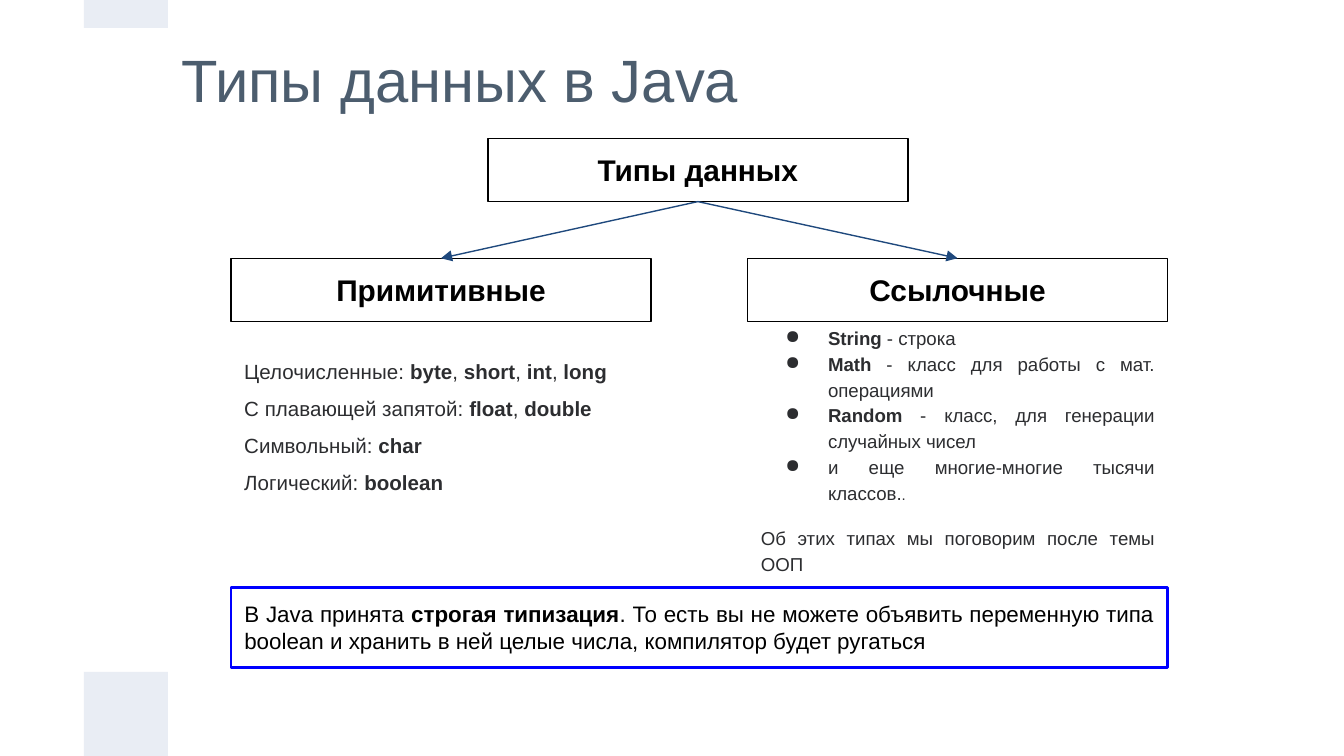
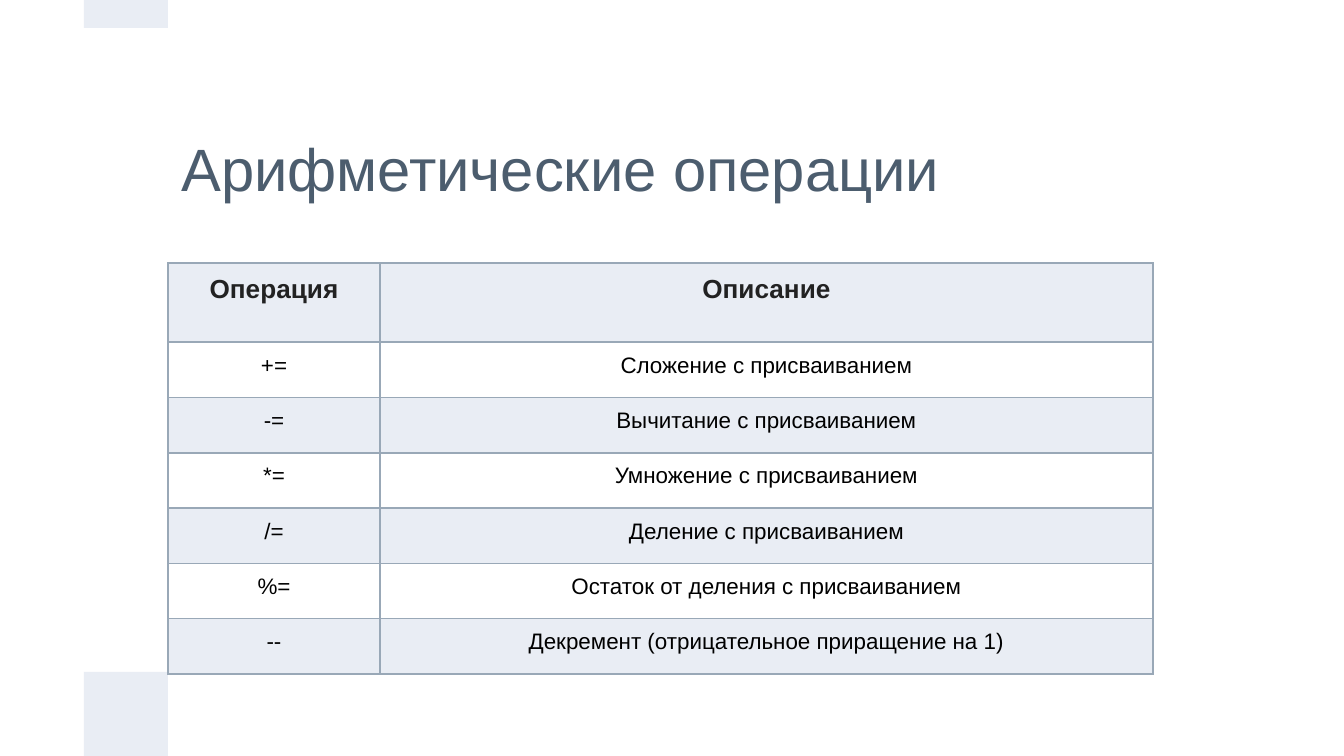
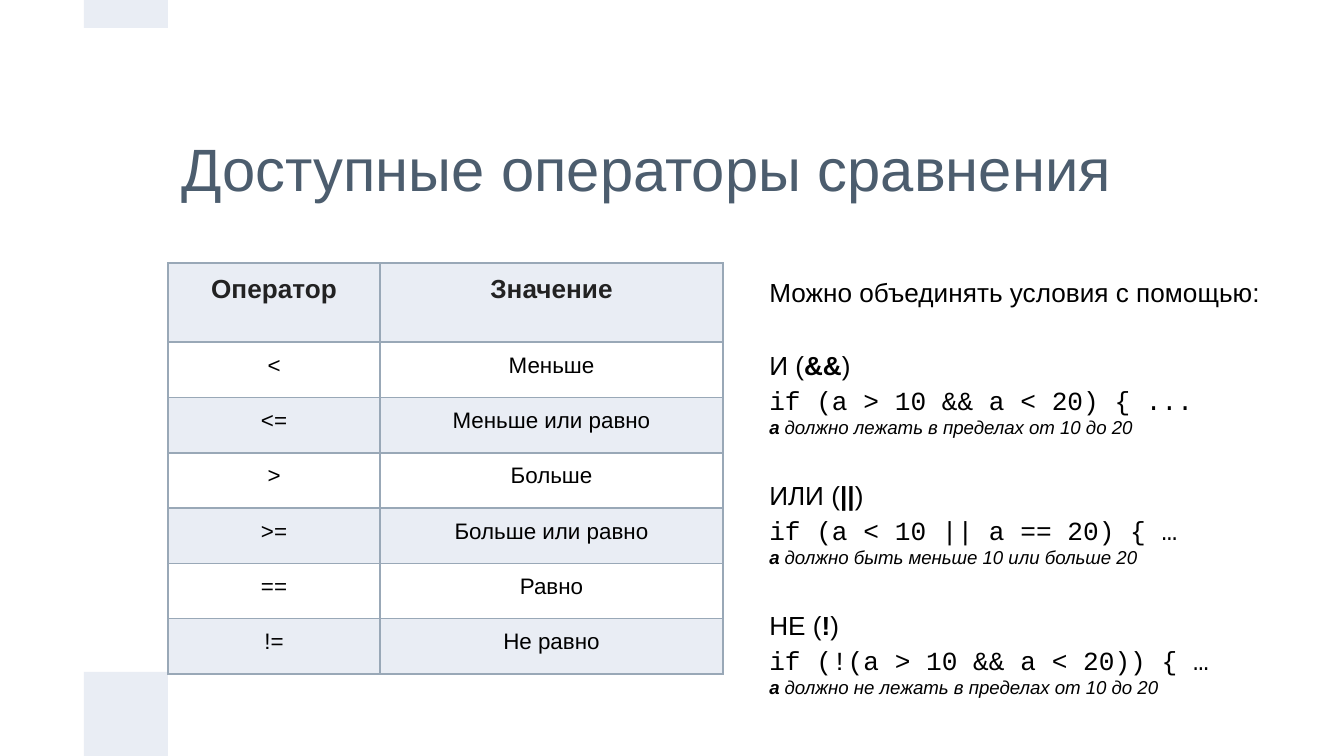
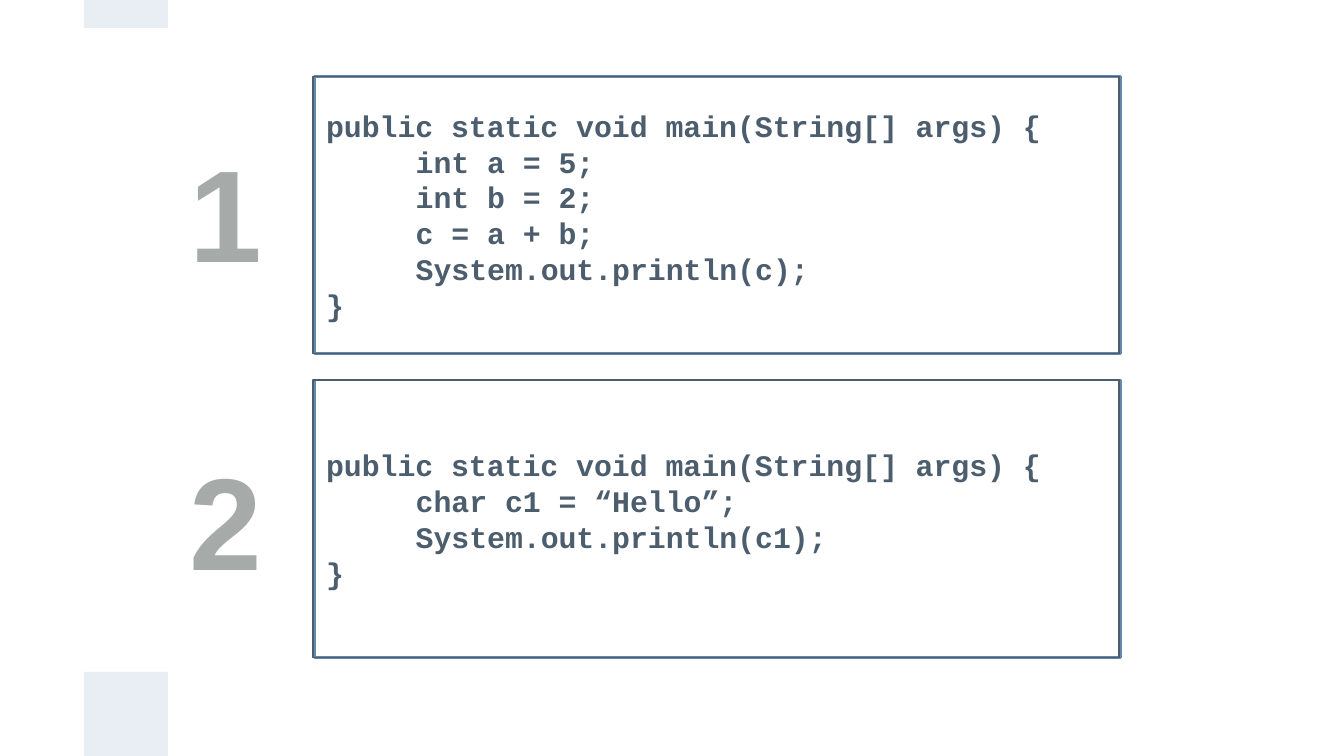
from dataclasses import dataclass
from typing import NamedTuple, Optional

from lxml import etree
from pptx import Presentation
from pptx.dml.color import RGBColor
from pptx.enum.shapes import MSO_CONNECTOR, MSO_SHAPE
from pptx.enum.text import MSO_ANCHOR, PP_ALIGN
from pptx.oxml.ns import qn
from pptx.util import Emu, Pt

EMU_PER_PX = 914400 / 192
RECT = MSO_SHAPE.RECTANGLE
STRAIGHT = MSO_CONNECTOR.STRAIGHT
TOP, MIDDLE = MSO_ANCHOR.TOP, MSO_ANCHOR.MIDDLE
LEFT, CENTER, JUSTIFY = PP_ALIGN.LEFT, PP_ALIGN.CENTER, PP_ALIGN.JUSTIFY
BOTTOM_SITE, TOP_SITE = 2, 0

COLORS = {
    "band": "E9EDF4", "title": "4C5D6E", "black": "000000", "body": "2C2D30",
    "header": "222222", "grid": "99A8B7", "arrow": "1F497D", "note": "0000FF",
    "code": "4C5D6D", "code_back": "6588AB", "number": "A6AAA9",
}
SANS, MONO = "Arial", "Courier New"
FORMATS = {
    "title": {"name": SANS, "size": Pt(32)},
    "node": {"name": SANS, "size": Pt(16), "bold": True},
    "primitive": {"name": SANS, "size": Pt(11)},
    "reference": {"name": SANS, "size": Pt(10)},
    "small": {"name": SANS, "size": Pt(8)},
    "note": {"name": SANS, "size": Pt(12)},
    "header": {"name": SANS, "size": Pt(14), "bold": True},
    "cell": {"name": SANS, "size": Pt(12)},
    "condition": {"name": SANS, "size": Pt(14)},
    "snippet": {"name": MONO, "size": Pt(14)},
    "remark": {"name": SANS, "size": Pt(10), "italic": True},
    "code": {"name": MONO, "size": Pt(16), "bold": True},
    "number": {"name": SANS, "size": Pt(70), "bold": True},
}
TEXT_COLORS = {
    "title": "title", "primitive": "body", "reference": "body", "small": "body",
    "header": "header", "code": "code", "number": "number",
}


class Box(NamedTuple):
    left: int
    top: int
    width: int
    height: int


class Outline(NamedTuple):
    color: str
    points: float


@dataclass
class Line:
    """One paragraph; parts between double asterisks are bold."""
    text: str
    style: str
    align: PP_ALIGN = LEFT
    spacing: float = 1.0
    before: float = 0
    indent: int = 0
    hanging: int = 0
    tail: str = ""


@dataclass
class Listing:
    """A numbered code frame; inner lines are indented."""
    number: str
    top: int
    number_top: int
    body: list[str]


BANDS = [Box(120, 960, 120, 120), Box(120, 0, 120, 40)]
TITLE_BOX = Box(240, 120, 1440, 240)
INSET = 19
TABLE_LEFT, TABLE_TOP = 240, 376
HEADER_HEIGHT, ROW_HEIGHT = 113, 79
THIN_BLACK = Outline("black", 0.75)
CODE_LEFT, CODE_WIDTH, CODE_HEIGHT, CODE_INDENT = 447, 1152, 396, 128
NODE_WIDTH, NODE_HEIGHT, NODE_TOP = 600, 90, 369
PRIMITIVE_LEFT, REFERENCE_LEFT = 330, 1068

PRIMITIVES = [
    "Целочисленные: **byte**, **short**, **int**, **long**",
    "С плавающей запятой: **float**, **double**",
    "Символьный: **char**",
    "Логический: **boolean**",
]
REFERENCES = [
    ("**String **- строка", ""),
    ("**Math **- класс для работы с мат. операциями", ""),
    ("**Random** - класс, для генерации случайных чисел", ""),
    ("и еще многие-многие тысячи классов.", "."),
]
ARITHMETIC = [
    ("Операция", "Описание"),
    ("+=", "Сложение с присваиванием"),
    ("-=", "Вычитание с присваиванием"),
    ("*=", "Умножение с присваиванием"),
    ("/=", "Деление с присваиванием"),
    ("%=", "Остаток от деления с присваиванием"),
    ("--", "Декремент (отрицательное приращение на 1)"),
]
COMPARISONS = [
    ("Оператор", "Значение"),
    ("<", "Меньше"),
    ("<=", "Меньше или равно"),
    (">", "Больше"),
    (">=", "Больше или равно"),
    ("==", "Равно"),
    ("!=", "Не равно"),
]
CONDITIONS = [
    ("И (**&&**)", "if (a > 10 && a < 20) { ...",
     "**a** должно лежать в пределах от 10 до 20"),
    ("ИЛИ (**||**)", "if (a < 10 || a == 20) { …",
     "**a** должно быть меньше 10 или больше 20"),
    ("НЕ (**!**)", "if (!(a > 10 && a < 20)) { …",
     "**a** должно не лежать в пределах от 10 до 20"),
]
LISTINGS = [
    Listing("1", 109, 102, ["int a = 5;", "int b = 2;", "c = a + b;", "System.out.println(c);"]),
    Listing("2", 543, 543, ["char c1 = “Hello”;", "System.out.println(c1);"]),
]


def px(length: int) -> Emu:
    return Emu(round(length * EMU_PER_PX))


def scaled(box: Box) -> list[Emu]:
    return [px(length) for length in box]


def rgb(color: str) -> RGBColor:
    return RGBColor.from_string(COLORS[color])


def add_run(paragraph, text: str, style: str, bold: bool = False) -> None:
    run = paragraph.add_run()
    run.text = text
    for attribute, value in FORMATS[style].items():
        setattr(run.font, attribute, value)
    if bold:
        run.font.bold = True
    run.font.color.rgb = rgb(TEXT_COLORS.get(style, "black"))


def add_bullet(properties) -> None:
    bullet_color = etree.SubElement(properties, qn("a:buClr"))
    etree.SubElement(bullet_color, qn("a:srgbClr"), val=COLORS["body"])
    etree.SubElement(properties, qn("a:buChar"), char="●")


def write_lines(frame, lines: list[Line]) -> None:
    for index, line in enumerate(lines):
        paragraph = frame.add_paragraph() if index else frame.paragraphs[0]
        layout = {"alignment": line.align, "line_spacing": line.spacing,
                  "space_before": Pt(line.before)}
        for attribute, value in layout.items():
            setattr(paragraph, attribute, value)
        properties = paragraph._p.get_or_add_pPr()
        properties.set("marL", str(px(line.indent)))
        properties.set("indent", str(px(-line.hanging)))
        if line.hanging:
            add_bullet(properties)
        for part, text in enumerate(line.text.split("**")):
            if text:
                add_run(paragraph, text, line.style, bold=part % 2 == 1)
        if line.tail:
            add_run(paragraph, line.tail, "small")


def add_rect(slide, box: Box, fill: Optional[str] = None, outline: Optional[Outline] = None):
    rect = slide.shapes.add_shape(RECT, *scaled(box))
    rect.shadow.inherit = False
    if fill:
        rect.fill.solid()
        rect.fill.fore_color.rgb = rgb(fill)
    else:
        rect.fill.background()
    if outline:
        rect.line.color.rgb = rgb(outline.color)
        rect.line.width = Pt(outline.points)
    else:
        rect.line.fill.background()
    return rect


def add_text(slide, box: Box, lines: list[Line], anchor: MSO_ANCHOR = TOP,
             outline: Optional[Outline] = None):
    """Text in a plain text box, or in a rectangle when an outline is given."""
    if outline:
        holder = add_rect(slide, box, outline=outline)
    else:
        holder = slide.shapes.add_textbox(*scaled(box))
    frame = holder.text_frame
    settings = {"word_wrap": True, "vertical_anchor": anchor}
    settings.update({f"margin_{side}": px(INSET) for side in ("left", "top", "right", "bottom")})
    for attribute, value in settings.items():
        setattr(frame, attribute, value)
    write_lines(frame, lines)
    return holder


def add_node(slide, left: int, top: int, text: str):
    return add_text(slide, Box(left, top, NODE_WIDTH, NODE_HEIGHT),
                    [Line(text, "node", CENTER)], outline=THIN_BLACK)


def add_arrow(slide, parent, child) -> None:
    arrow = slide.shapes.add_connector(STRAIGHT, 0, 0, 0, 0)
    arrow.begin_connect(parent, BOTTOM_SITE)
    arrow.end_connect(child, TOP_SITE)
    arrow.line.color.rgb = rgb("arrow")
    arrow.line.width = Pt(0.75)
    etree.SubElement(arrow.line._ln, qn("a:tailEnd"), type="triangle")
    etree.SubElement(arrow._element.spPr, qn("a:effectLst"))


def add_cell_borders(cell) -> None:
    properties = cell._tc.get_or_add_tcPr()
    for index, side in enumerate(("lnL", "lnR", "lnT", "lnB")):
        border = etree.Element(qn(f"a:{side}"), w=str(Pt(0.96)))
        fill = etree.SubElement(border, qn("a:solidFill"))
        etree.SubElement(fill, qn("a:srgbClr"), val=COLORS["grid"])
        properties.insert(index, border)


def add_operator_table(slide, rows: list[tuple[str, str]], widths: tuple[int, int]) -> None:
    height = HEADER_HEIGHT + ROW_HEIGHT * (len(rows) - 1)
    box = Box(TABLE_LEFT, TABLE_TOP, sum(widths), height)
    table = slide.shapes.add_table(len(rows), len(widths), *scaled(box)).table
    table.first_row = table.horz_banding = False
    for column, width in zip(table.columns, widths):
        column.width = px(width)
    for row_index, texts in enumerate(rows):
        table.rows[row_index].height = px(ROW_HEIGHT if row_index else HEADER_HEIGHT)
        for column_index, text in enumerate(texts):
            cell = table.cell(row_index, column_index)
            cell.margin_left = cell.margin_right = px(14)
            cell.margin_top = cell.margin_bottom = px(10)
            if row_index % 2:
                cell.fill.background()
            else:
                cell.fill.solid()
                cell.fill.fore_color.rgb = rgb("band")
            add_cell_borders(cell)
            style = "cell" if row_index else "header"
            write_lines(cell.text_frame, [Line(text, style, CENTER, 1.15)])


def new_slide(deck, title: str = "", title_box: Box = TITLE_BOX):
    slide = deck.slides.add_slide(deck.slide_layouts[6])
    for band in BANDS:
        add_rect(slide, band, fill="band")
    if title:
        add_text(slide, title_box, [Line(title, "title")], MIDDLE)
    return slide


def build_data_types(deck) -> None:
    slide = new_slide(deck, "Типы данных в Java", Box(240, 44, 1440, 136))
    root = add_node(slide, 697, 198, "Типы данных")
    for left, text in ((PRIMITIVE_LEFT, "Примитивные"), (REFERENCE_LEFT, "Ссылочные")):
        add_arrow(slide, root, add_node(slide, left, NODE_TOP, text))
    add_text(slide, Box(PRIMITIVE_LEFT, 476, 630, 232),
             [Line(text, "primitive", spacing=1.5) for text in PRIMITIVES])
    references = [Line(text, "reference", JUSTIFY, 1.15, indent=96, hanging=61, tail=tail)
                  for text, tail in REFERENCES]
    references.append(Line("Об этих типах мы поговорим после темы ООП", "reference",
                           JUSTIFY, 1.15, before=10.6))
    add_text(slide, Box(REFERENCE_LEFT, 476, NODE_WIDTH, 332), references, MIDDLE)
    note = ("В Java принята **строгая типизация**. То есть вы не можете объявить переменную "
            "типа boolean и хранить в ней целые числа, компилятор будет ругаться")
    add_text(slide, Box(PRIMITIVE_LEFT, 839, 1338, 115), [Line(note, "note", JUSTIFY)],
             outline=Outline("note", 1.5))


def build_arithmetic(deck) -> None:
    slide = new_slide(deck, "Арифметические операции")
    add_operator_table(slide, ARITHMETIC, (303, 1104))


def build_comparisons(deck) -> None:
    slide = new_slide(deck, "Доступные операторы сравнения")
    add_operator_table(slide, COMPARISONS, (303, 490))
    lines = [Line("Можно объединять условия с помощью:", "condition")]
    for operator, snippet, remark in CONDITIONS:
        lines += [Line(operator, "condition", before=22),
                  Line(snippet, "snippet", before=2),
                  Line(remark, "remark")]
    add_text(slide, Box(1080, TABLE_TOP, 804, 582), lines)


def build_listings(deck) -> None:
    slide = new_slide(deck)
    for listing in LISTINGS:
        frame = Box(CODE_LEFT, listing.top, CODE_WIDTH, CODE_HEIGHT)
        add_rect(slide, frame._replace(left=CODE_LEFT + 2), outline=Outline("code_back", 1.5))
        lines = [Line("public static void main(String[] args) {", "code")]
        lines += [Line(text, "code", indent=CODE_INDENT) for text in listing.body]
        lines.append(Line("}", "code"))
        add_text(slide, frame, lines, MIDDLE, Outline("title", 0.75))
        add_text(slide, Box(228, listing.number_top, 190, CODE_HEIGHT),
                 [Line(listing.number, "number", CENTER)], MIDDLE)


def main() -> None:
    deck = Presentation()
    deck.slide_width, deck.slide_height = px(1920), px(1080)
    for build in (build_data_types, build_arithmetic, build_comparisons, build_listings):
        build(deck)
    deck.save("out.pptx")


if __name__ == "__main__":
    main()
